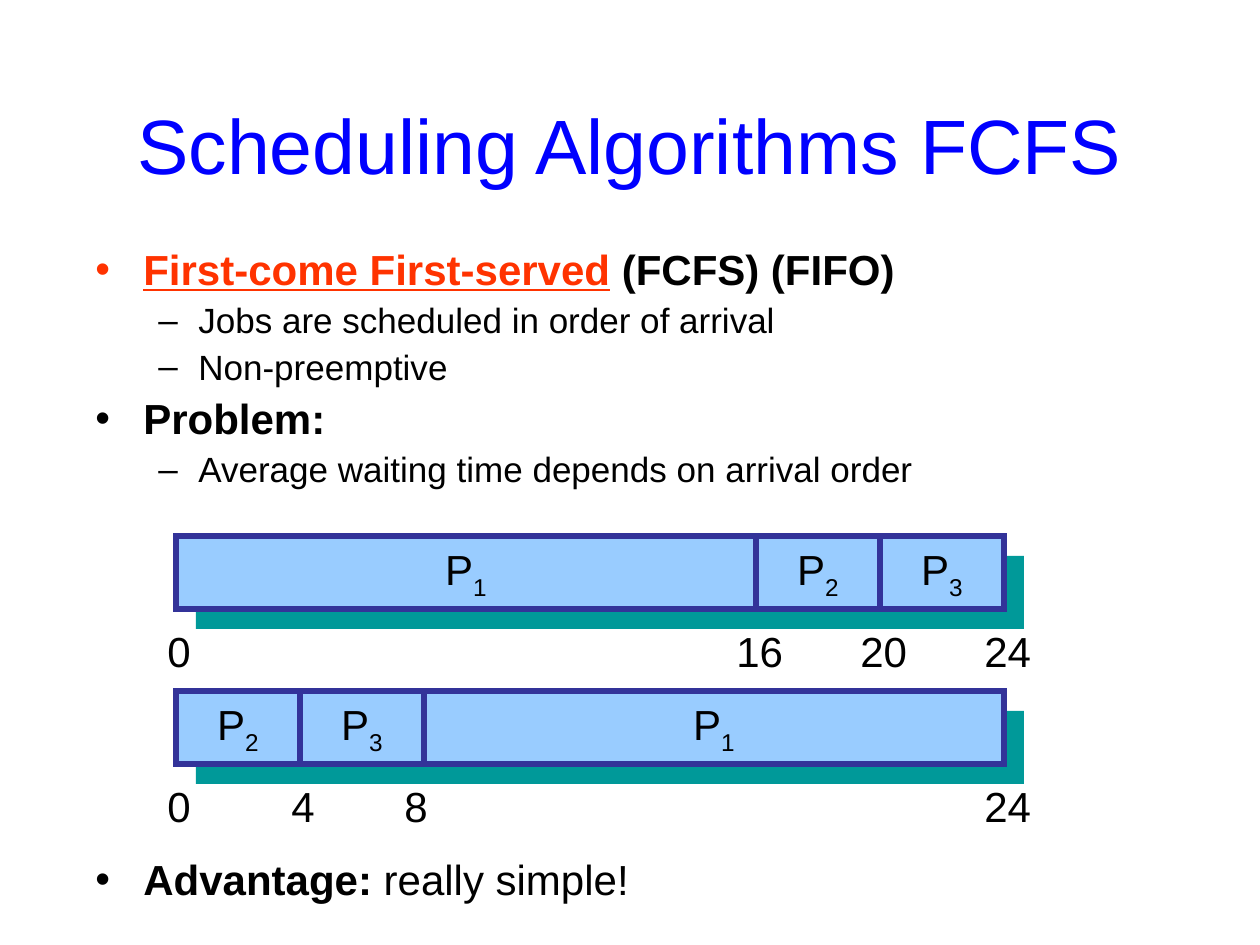
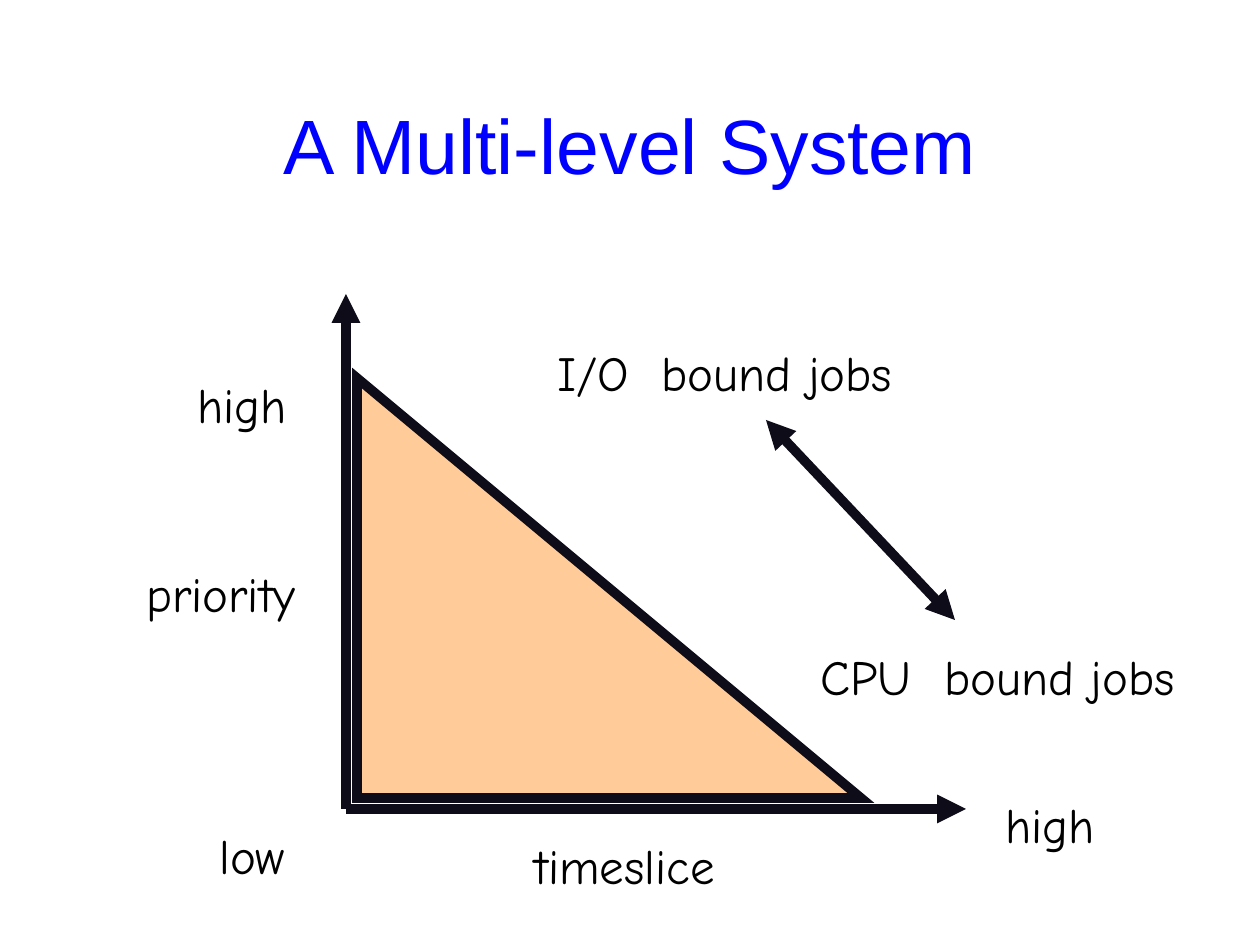
from dataclasses import dataclass
from lxml import etree
from pptx import Presentation
from pptx.dml.color import RGBColor
from pptx.enum import shapes, text
from pptx.oxml.ns import qn
from pptx.util import Pt

PX = 914400 / 126


@dataclass(frozen=True)
class Theme:
    font: str = "Arial"
    hand: str = "Comic Neue"
    blue: str = "0000FF"
    red: str = "FF3300"
    black: str = "000000"
    bar: str = "99CCFF"
    edge: str = "333399"
    shade: str = "009999"
    ink: str = "0F0C19"
    peach: str = "FFCC99"
    head: int = 44
    label: int = 28
    main: int = 24
    sub: int = 20
    thin: float = 3
    thick: float = 5.5


T = Theme()

TITLES = ["Scheduling Algorithms FCFS", "A Multi-level System"]
TITLE_BOX = (63, 38, 1134, 158)

# level, space before in points, runs of (text, bold, accent)
BODY = [
    (0, 6, [("First-come First-served", True, True), (" (FCFS) (FIFO)", True, False)]),
    (1, 5, [("Jobs are scheduled in order of arrival", False, False)]),
    (1, 5, [("Non-preemptive", False, False)]),
    (0, 6, [("Problem:", True, False)]),
    (1, 5, [("Average waiting time depends on arrival order", False, False)]),
    (0, 211, [("Advantage:", True, False), (" really simple!", False, False)]),
]
BODY_BOX = (83, 243, 1072, 702)
# mark, left margin, hanging indent, type size
LEVELS = [("•", 48, 48, T.main), ("–", 103, 40, T.sub)]

# top, then (job, width, finish time, how far its label starts left of the edge)
CHARTS = [
    (536, [("1", 580, "16", 32), ("2", 124, "20", 32), ("3", 124, "24", 32)]),
    (691, [("2", 124, "4", 21), ("3", 124, "8", 32), ("1", 580, "24", 32)]),
]
BAR_X, BAR_H, DROP, TICK_DY = 176, 73, 20, 83

LABELS = [
    ("low", 168, 819, 168),
    ("high", 158, 368, 168),
    ("high", 966, 788, 168),
    ("priority", 105, 557, 231),
    ("timeslice", 399, 829, 451),
    ("I/O  bound jobs", 462, 336, 525),
    ("CPU  bound jobs", 735, 640, 525),
]
LABEL_H = 72
TRIANGLE = (357, 378, 504, 420)
ORIGIN = (346, 809)
AXES = [(346, 294), (966, 809)]
RANGE = ((766, 420), (955, 620))


def emu(*vals):
    return [round(v * PX) for v in vals]


def rgb(code):
    return RGBColor.from_string(code)


def style(font, size, color=T.black, name=T.font):
    font.size, font.name = Pt(size), name
    font.color.rgb = rgb(color)


def new_slide(prs, title):
    slide = prs.slides.add_slide(prs.slide_layouts[5])
    head = slide.shapes.title
    head.left, head.top, head.width, head.height = emu(*TITLE_BOX)
    frame = head.text_frame
    frame.text = title
    frame.auto_size = text.MSO_AUTO_SIZE.NONE
    frame.vertical_anchor = text.MSO_ANCHOR.BOTTOM
    para = frame.paragraphs[0]
    para.alignment = text.PP_ALIGN.CENTER
    style(para.font, T.head, T.blue)
    return slide


def add_text(slide, box, words, size, name=T.font, align=None, wrap=False):
    frame = slide.shapes.add_textbox(*emu(*box)).text_frame
    frame.word_wrap = wrap
    frame.auto_size = text.MSO_AUTO_SIZE.SHAPE_TO_FIT_TEXT
    para = frame.paragraphs[0]
    para.text, para.alignment = words, align
    style(para.font, size, name=name)


def add_block(slide, kind, box, fill, line=None, width=0):
    block = slide.shapes.add_shape(kind, *emu(*box))
    block.shadow.inherit = False
    block.fill.solid()
    block.fill.fore_color.rgb = rgb(fill)
    if line:
        block.line.color.rgb = rgb(line)
        block.line.width = Pt(width)
        etree.SubElement(block.line._get_or_add_ln(), qn("a:miter"), lim="800000")
    else:
        block.line.fill.background()
    return block


def add_arrow(slide, start, end, ends=("tailEnd",)):
    arrow = slide.shapes.add_connector(
        shapes.MSO_CONNECTOR.STRAIGHT, *emu(*start, *end))
    arrow.line.color.rgb = rgb(T.ink)
    arrow.line.width = Pt(T.thick)
    for tag in ends:
        etree.SubElement(arrow.line._get_or_add_ln(), qn("a:" + tag), type="triangle")
    etree.SubElement(arrow._element.spPr, qn("a:effectLst"))


def add_bullet(para, mark, left, hang, color):
    props = para._p.get_or_add_pPr()
    left, hang = emu(left, hang)
    props.set("marL", str(left))
    props.set("indent", str(-hang))
    tint = etree.SubElement(props, qn("a:buClr"))
    etree.SubElement(tint, qn("a:srgbClr"), val=color)
    etree.SubElement(props, qn("a:buFont"), typeface=T.font)
    etree.SubElement(props, qn("a:buChar"), char=mark)


def add_body(slide):
    frame = slide.shapes.add_textbox(*emu(*BODY_BOX)).text_frame
    frame.word_wrap = True
    for i, (level, gap, runs) in enumerate(BODY):
        para = frame.add_paragraph() if i else frame.paragraphs[0]
        para.level = level
        para.line_spacing, para.space_before = 0.9, Pt(gap)
        mark, left, hang, size = LEVELS[level]
        add_bullet(para, mark, left, hang, T.red if runs[0][2] else T.black)
        style(para.font, size)
        for words, bold, accent in runs:
            run = para.add_run()
            run.text, run.font.bold = words, bold
            if accent:
                run.font.underline = True
                run.font.color.rgb = rgb(T.red)


def add_job(slide, box, job):
    block = add_block(slide, shapes.MSO_SHAPE.RECTANGLE, box, T.bar, T.edge, T.thin)
    frame = block.text_frame
    frame.word_wrap = False
    frame.vertical_anchor = text.MSO_ANCHOR.MIDDLE
    para = frame.paragraphs[0]
    para.alignment = text.PP_ALIGN.CENTER
    style(para.font, T.main)
    for words in ("P", job):
        run = para.add_run()
        run.text = words
        run.font.color.rgb = rgb(T.black)
    run._r.get_or_add_rPr().set("baseline", "-25000")


def add_gantt(slide, top, jobs):
    total = sum(job[1] for job in jobs)
    add_block(slide, shapes.MSO_SHAPE.RECTANGLE,
              (BAR_X + DROP, top + DROP, total, BAR_H), T.shade)
    x, ticks = BAR_X, [(BAR_X, "0", 21)]
    for job, width, time, shift in jobs:
        add_job(slide, (x, top, width, BAR_H), job)
        x += width
        ticks.append((x, time, shift))
    for x, time, shift in ticks:
        box = (x - shift, top + TICK_DY, 24 + 24 * len(time), 63)
        add_text(slide, box, time, T.main)


def main():
    prs = Presentation()
    prs.slide_width, prs.slide_height = emu(1260, 945)
    fcfs, multi = [new_slide(prs, title) for title in TITLES]

    add_body(fcfs)
    for top, jobs in CHARTS:
        add_gantt(fcfs, top, jobs)

    for end in AXES:
        add_arrow(multi, ORIGIN, end)
    add_block(multi, shapes.MSO_SHAPE.RIGHT_TRIANGLE, TRIANGLE, T.peach, T.ink, T.thick)
    for words, x, y, width in LABELS:
        add_text(multi, (x, y, width, LABEL_H), words, T.label, T.hand,
                 text.PP_ALIGN.CENTER, True)
    add_arrow(multi, *RANGE, ends=("headEnd", "tailEnd"))
    prs.save("out.pptx")


if __name__ == "__main__":
    main()
